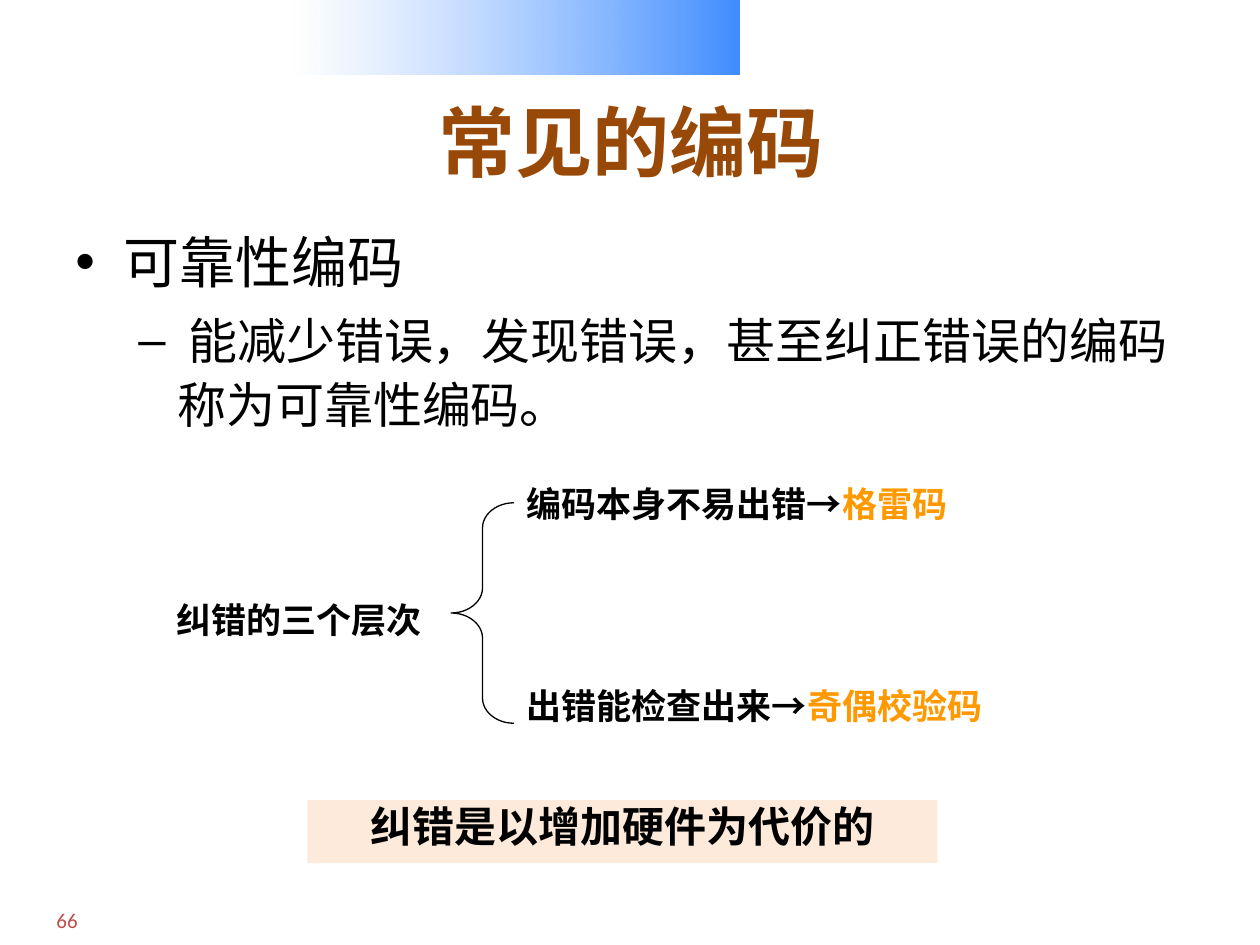
import pptx
import pptx.util
import pptx.dml.color
import pptx.enum.shapes
import pptx.enum.text
import pptx.oxml
import pptx.oxml.ns
from lxml import etree

SLIDE_WIDTH = pptx.util.Inches(10)
SLIDE_HEIGHT = pptx.util.Inches(7.5)
COLUMNS, ROWS = 40, 30
BLACK, ORANGE, BROWN, RED = "000000", "FF9900", "984807", "C0504D"
PEACH, WHITE, BLUE = "FDEADA", "FFFFFF", "0066FF"
CENTER = pptx.enum.text.PP_ALIGN.CENTER
LABEL = {"size": 20, "bold": True}
HANGING = {"indent": (0.38, -0.38), "line_spacing": 0.9}


def color(value):
    return pptx.dml.color.RGBColor.from_string(value)


def place(box):
    left, top, width, height = box
    return (round(SLIDE_WIDTH * left / COLUMNS), round(SLIDE_HEIGHT * top / ROWS),
            round(SLIDE_WIDTH * width / COLUMNS), round(SLIDE_HEIGHT * height / ROWS))


def inside(box, left, top, width, height):
    return box[0] + left, box[1] + top, width, height


def add_preset(slide, kind, box):
    shape = slide.shapes.add_shape(kind, *place(box))
    shape.shadow.inherit = False
    return shape


def add_text_box(slide, box, anchor=pptx.enum.text.MSO_ANCHOR.TOP):
    frame = slide.shapes.add_textbox(*place(box)).text_frame
    frame.word_wrap = True
    frame.vertical_anchor = anchor
    return frame


def add_run(paragraph, text, size, value=BLACK, font="Arial", bold=False):
    run = paragraph.add_run()
    run.text = text
    run.font.size = pptx.util.Pt(size)
    run.font.name = font
    run.font.bold = bold
    run.font.color.rgb = color(value)


def format_paragraph(paragraph, space=0, indent=None, line_spacing=None,
                     bullet=None, level=0):
    paragraph.level = level
    paragraph.space_before = pptx.util.Pt(space)
    if line_spacing:
        paragraph.line_spacing = line_spacing
    properties = paragraph._p.get_or_add_pPr()
    if indent:
        for name, length in zip(("marL", "indent"), indent):
            properties.set(name, str(pptx.util.Inches(length)))
    if bullet:
        font = etree.SubElement(properties, pptx.oxml.ns.qn("a:buFont"))
        font.set("typeface", "Arial")
        mark = etree.SubElement(properties, pptx.oxml.ns.qn("a:buChar"))
        mark.set("char", bullet)


def add_header_band(slide, box):
    band = add_preset(slide, pptx.enum.shapes.MSO_SHAPE.RECTANGLE, box)
    band.line.fill.background()
    band.fill.gradient()
    band.fill.gradient_angle = 0
    stops = ((0, WHITE, 48), (1, BLUE, 75))
    for stop, (position, value, _) in zip(band.fill.gradient_stops, stops):
        stop.position = position
        stop.color.rgb = color(value)
    solid_colors = band._element.spPr.iter(pptx.oxml.ns.qn("a:srgbClr"))
    for element, (_, _, opacity) in zip(solid_colors, stops):
        alpha = etree.SubElement(element, pptx.oxml.ns.qn("a:alpha"))
        alpha.set("val", str(opacity * 1000))


def add_page_number(slide, box):
    paragraph = add_text_box(slide, box).paragraphs[0]
    format_paragraph(paragraph, 6)
    add_run(paragraph, "66", 12, RED, "Calibri")


def add_title(slide, box):
    frame = add_text_box(slide, box, pptx.enum.text.MSO_ANCHOR.MIDDLE)
    paragraph = frame.paragraphs[0]
    paragraph.alignment = CENTER
    add_run(paragraph, "常见的编码", 44, BROWN, "Times New Roman", True)


def add_body(slide, box):
    frame = add_text_box(slide, box)
    heading, detail = frame.paragraphs[0], frame.add_paragraph()
    format_paragraph(heading, 6.4, (0.38, -0.38), 1.1, "•")
    add_run(heading, "可靠性编码", 32)
    format_paragraph(detail, 5.6, (0.81, -0.31), 1.1, "–", 1)
    add_run(detail, " 能减少错误，发现错误，甚至纠正错误的编码 称为可靠性编码。", 28)


def add_levels_diagram(slide, box):
    labels = (
        ((0, 3.68, 12, 2), (("纠错的三个层次", BLACK),)),
        ((11.12, 0, 21, 2), (("编码本身不易出错→", BLACK), ("格雷码", ORANGE))),
        ((11.12, 6.4, 22.32, 2), (("出错能检查出来→", BLACK), ("奇偶校验码", ORANGE))),
    )
    for label_box, runs in labels:
        paragraph = add_text_box(slide, inside(box, *label_box)).paragraphs[0]
        format_paragraph(paragraph, 4, **HANGING)
        for text, value in runs:
            add_run(paragraph, text, value=value, **LABEL)
    brace = add_preset(slide, pptx.enum.shapes.MSO_SHAPE.LEFT_BRACE,
                       inside(box, 9.12, 0.68, 2, 7))
    brace.adjustments[0] = 0.4
    brace.adjustments[1] = 0.5
    brace.fill.background()
    brace.line.color.rgb = color(BLACK)
    brace.line.width = pptx.util.Pt(0.75)


def add_conclusion(slide, box):
    banner = add_preset(slide, pptx.enum.shapes.MSO_SHAPE.RECTANGLE, box)
    banner.fill.solid()
    banner.fill.fore_color.rgb = color(PEACH)
    banner.line.fill.background()
    frame = banner.text_frame
    frame.word_wrap = True
    frame.vertical_anchor = pptx.enum.text.MSO_ANCHOR.TOP
    paragraph = frame.paragraphs[0]
    paragraph.alignment = CENTER
    format_paragraph(paragraph, 4.8, **HANGING)
    add_run(paragraph, "纠错是以增加硬件为代价的", 24, bold=True)


def main():
    presentation = pptx.Presentation()
    presentation.slide_width = SLIDE_WIDTH
    presentation.slide_height = SLIDE_HEIGHT
    slide = presentation.slides.add_slide(presentation.slide_layouts[6])
    add_header_band(slide, (9.28, 0, 14.2, 2.36))
    add_page_number(slide, (1.4, 28.6, 1.88, 1.2))
    add_levels_diagram(slide, (5.2, 15.28, 33.44, 8.4))
    add_conclusion(slide, (9.76, 25.4, 20, 2))
    add_title(slide, (2.04, 2.72, 36, 3.48))
    add_body(slide, (2, 6.8, 36, 7.24))
    presentation.save("out.pptx")


if __name__ == "__main__":
    main()
